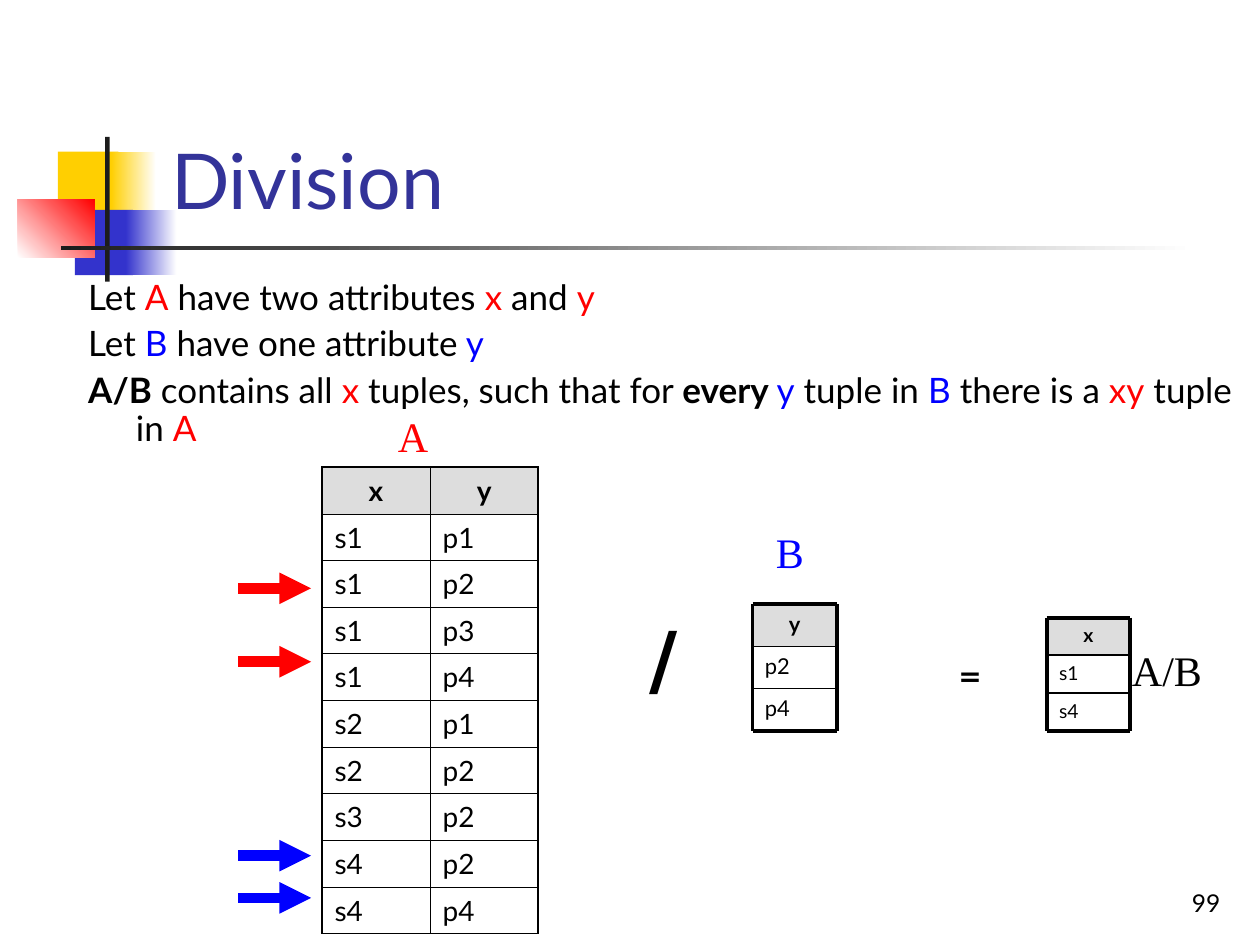
from lxml import etree
from pptx import Presentation
from pptx.dml.color import RGBColor
from pptx.enum.shapes import MSO_CONNECTOR as Connector, MSO_SHAPE as Preset
from pptx.enum.text import MSO_ANCHOR as Anchor, PP_ALIGN as Align
from pptx.oxml.ns import qn
from pptx.util import Cm, Pt

COLORS = {
    "black": "000000", "white": "FFFFFF", "red": "FF0000", "blue": "0000FF",
    "title": "333399", "yellow": "FFCF01", "indigo": "3333CC",
    "charcoal": "1C1C1C", "header": "DDDDDD",
}
SANS, SERIF, SYMBOL = "Lato", "Times New Roman", "DejaVu Sans"


def color(name):
    return RGBColor.from_string(COLORS[name])


def add_run(paragraph, text, size, font=SANS, color_name="black", bold=False):
    run = paragraph.add_run()
    run.text = text
    run.font.name = font
    run.font.size = Pt(size)
    run.font.bold = bold
    run.font.color.rgb = color(color_name)


def add_text_frame(slide, box, anchor=Anchor.TOP, wrap=True):
    frame = slide.shapes.add_textbox(*map(Cm, box)).text_frame
    frame.word_wrap = wrap
    frame.vertical_anchor = anchor
    return frame


def add_label(slide, box, text, size, font, color_name="black", bold=False):
    frame = add_text_frame(slide, box, wrap=False)
    add_run(frame.paragraphs[0], text, size, font, color_name, bold)


def add_block(slide, box, start, end=None, angle=0):
    shape = slide.shapes.add_shape(Preset.RECTANGLE, *map(Cm, box))
    shape.shadow.inherit = False
    shape.line.fill.background()
    if end is None:
        shape.fill.solid()
        shape.fill.fore_color.rgb = color(start)
        return shape
    shape.fill.gradient()
    shape.fill.gradient_angle = angle
    for stop, name in zip(shape.fill.gradient_stops, (start, end)):
        stop.color.rgb = color(name)
    return shape


def add_line(slide, start, end, width, color_name="black"):
    line = slide.shapes.add_connector(Connector.STRAIGHT, *map(Cm, start + end))
    line.line.width = Pt(width)
    line.line.color.rgb = color(color_name)
    etree.SubElement(line._element.spPr, qn("a:effectLst"))
    return line


def add_arrow(slide, top, color_name):
    arrow = add_line(slide, (4.8, top), (6.27, top), 6, color_name)
    etree.SubElement(arrow.line._get_or_add_ln(), qn("a:tailEnd"), type="triangle")


def add_decoration(slide):
    add_block(slide, (1.17, 3.06, 1.22, 1.32), "yellow")
    add_block(slide, (2.24, 3.06, 0.91, 1.32), "yellow", "white")
    add_block(slide, (1.51, 4.23, 1.17, 1.32), "indigo")
    add_block(slide, (2.54, 4.23, 1.02, 1.32), "indigo", "white")
    add_block(slide, (0.36, 4.02, 1.55, 1.17), "white", "red", 45)
    add_block(slide, (2.12, 2.76, 0.09, 2.92), "charcoal")
    add_block(slide, (1.23, 4.95, 22.86, 0.09), "charcoal", "white")


def add_body(slide, box, lines):
    frame = add_text_frame(slide, box)
    for index, line in enumerate(lines):
        paragraph = frame.add_paragraph() if index else frame.paragraphs[0]
        paragraph.line_spacing = 0.9
        if index:
            paragraph.space_before = Pt(5)
        properties = paragraph._p.get_or_add_pPr()
        properties.set("marL", str(Cm(0.96)))
        properties.set("indent", str(Cm(-0.96)))
        for text, color_name, bold in line:
            add_run(paragraph, text, 20, SANS, color_name, bold)


def set_border(cell, side, width):
    properties = cell._tc.get_or_add_tcPr()
    line = etree.SubElement(properties, qn(f"a:ln{side}"), w=str(Pt(width)))
    fill = etree.SubElement(line, qn("a:solidFill"))
    etree.SubElement(fill, qn("a:srgbClr"), val=COLORS["black"])


def add_relation(slide, left, top, column_width, row_height, rows):
    row_count, column_count = len(rows), len(rows[0])
    table = slide.shapes.add_table(
        row_count, column_count, Cm(left), Cm(top),
        Cm(column_width * column_count), Cm(row_height * row_count)).table
    table.first_row = table.horz_banding = False
    for row_index, values in enumerate(rows):
        table.rows[row_index].height = Cm(row_height)
        for column_index, value in enumerate(values):
            cell = table.cell(row_index, column_index)
            edges = {
                "L": column_index == 0, "R": column_index == column_count - 1,
                "T": row_index == 0, "B": row_index == row_count - 1,
            }
            for side, is_outer in edges.items():
                set_border(cell, side, 1.08 if is_outer else 0.45)
            is_header = row_index == 0
            if is_header:
                cell.fill.solid()
                cell.fill.fore_color.rgb = color("header")
            else:
                cell.fill.background()
            cell.margin_top = cell.margin_bottom = Cm(0.1)
            cell.vertical_anchor = Anchor.MIDDLE
            paragraph = cell.text_frame.paragraphs[0]
            paragraph.alignment = Align.CENTER if is_header else Align.LEFT
            add_run(paragraph, value, size=16, bold=is_header)


def add_small_relation(slide, left, top, width, row_height, values, size):
    right, bottom = left + width, top + row_height * len(values)
    for index, value in enumerate(values):
        box = (left, top + row_height * index, width, row_height)
        if index == 0:
            frame = add_block(slide, box, "header").text_frame
            frame.vertical_anchor = Anchor.TOP
            frame.paragraphs[0].alignment = Align.CENTER
        else:
            frame = add_text_frame(slide, box)
        add_run(frame.paragraphs[0], value, size, bold=index == 0)
    for index in range(len(values) + 1):
        y = top + row_height * index
        line_width = 2.25 if index in (0, len(values)) else 1
        add_line(slide, (left, y), (right, y), line_width)
    for x in (left, right):
        add_line(slide, (x, top), (x, bottom), 2.25)


def main():
    presentation = Presentation()
    presentation.slide_width, presentation.slide_height = Cm(25.4), Cm(19.05)
    slide = presentation.slides.add_slide(presentation.slide_layouts[6])

    add_decoration(slide)
    number = add_text_frame(slide, (19.56, 17.34, 5.29, 1.27), Anchor.BOTTOM)
    number.paragraphs[0].alignment = Align.RIGHT
    add_run(number.paragraphs[0], "99", 14)
    title = add_text_frame(slide, (3.2, 0.6, 21.64, 4.06), Anchor.BOTTOM)
    add_run(title.paragraphs[0], "Division", 44, color_name="title")

    add_body(slide, (1.53, 5.52, 23.77, 10.82), [
        [("Let ", "black", False), ("A", "red", False),
         (" have two attributes ", "black", False), ("x", "red", False),
         (" and ", "black", False), ("y", "red", False)],
        [("Let ", "black", False), ("B", "blue", False),
         (" have one attribute", "black", False), (" y", "blue", False)],
        [("A/B", "black", True), (" contains all ", "black", False),
         ("x", "red", False), (" tuples, such that for ", "black", False),
         ("every ", "black", True), ("y", "blue", False),
         (" tuple in ", "black", False), ("B", "blue", False),
         (" there is a ", "black", False), ("xy", "red", False),
         (" tuple in ", "black", False), ("A", "red", False)],
    ])

    relation_a = [
        ("x", "y"), ("s1", "p1"), ("s1", "p2"), ("s1", "p3"), ("s1", "p4"),
        ("s2", "p1"), ("s2", "p2"), ("s3", "p2"), ("s4", "p2"), ("s4", "p4"),
    ]
    add_relation(slide, 6.49, 9.42, 2.18, 0.94, relation_a)
    add_small_relation(slide, 15.17, 12.18, 1.7, 0.85, ["y", "p2", "p4"], 12.5)
    add_small_relation(slide, 21.1, 12.45, 1.68, 0.76, ["x", "s1", "s4"], 11)

    add_label(slide, (7.77, 8.15, 1.12, 1.27), "A", 24, SERIF, "red")
    add_label(slide, (15.39, 10.49, 1.07, 1.27), "B", 24, SERIF, "blue")
    add_label(slide, (22.57, 12.87, 2, 1.27), "A/B", 24, SERIF)
    add_label(slide, (12.85, 12.18, 1.14, 2.13), "/", 44, SYMBOL, bold=True)
    add_label(slide, (19.07, 13.16, 0.81, 0.94), "=", 16, SYMBOL, bold=True)

    for top, color_name in ((11.86, "red"), (13.34, "red"), (17.25, "blue"), (18.1, "blue")):
        add_arrow(slide, top, color_name)

    presentation.save("out.pptx")


if __name__ == "__main__":
    main()
